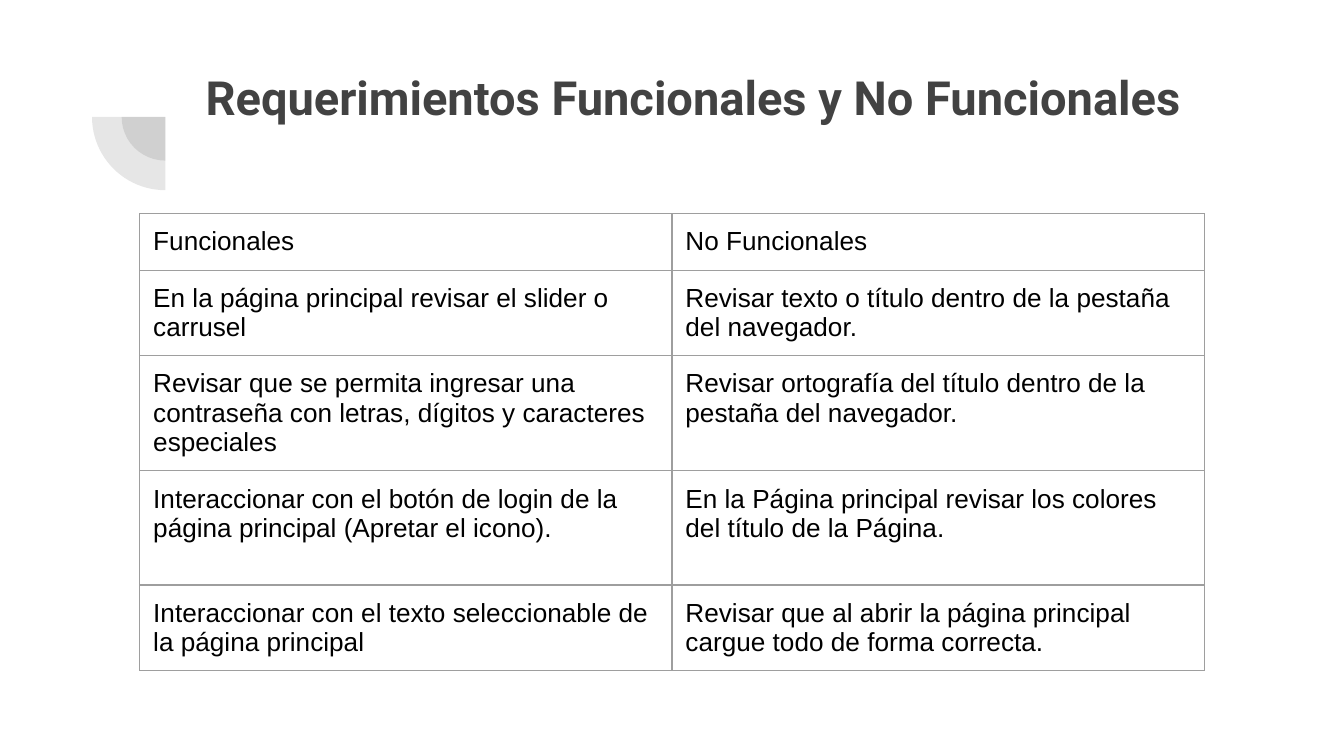
from lxml.etree import SubElement
from pptx import Presentation
from pptx.dml.color import RGBColor
from pptx.enum.shapes import MSO_SHAPE
from pptx.enum.text import MSO_ANCHOR, PP_ALIGN
from pptx.oxml.ns import qn
from pptx.util import Inches, Pt

# Content
TITLE = "Requerimientos Funcionales y No Funcionales"
ROWS = [  # height, functional, non-functional
    (0.42, "Funcionales", "No Funcionales"),
    (0.63, "En la página principal revisar el slider o carrusel",
     "Revisar texto o título dentro de la pestaña del navegador."),
    (0.85, "Revisar que se permita ingresar una contraseña con letras, dígitos y caracteres especiales",
     "Revisar ortografía del título dentro de la pestaña del navegador."),
    (0.85, "Interaccionar con el botón de login de la página principal (Apretar el icono).",
     "En la Página principal revisar los colores del título de la Página."),
    (0.63, "Interaccionar con el texto seleccionable de la página principal",
     "Revisar que al abrir la página principal cargue todo de forma correcta."),
]
COLORS = {"gray": "424242", "text": "000000", "border": "9E9E9E"}
TITLE_FONT = {"name": "Roboto", "size": Pt(25.2), "bold": True}
CELL_FONT = {"name": "Arial", "size": Pt(14), "bold": False}
INSETS = ("margin_left", "margin_top", "margin_right", "margin_bottom")
SLIDE_W = 10
COL_W = 3.96
PIE_CENTER = (1.23, 0.87)
PIE_SIZES = (0.65, 1.09)


def write(p, text, font, color):
    r = p.add_run()
    r.text = text
    for key, value in font.items():
        setattr(r.font, key, value)
    r.font.color.rgb = RGBColor.from_string(COLORS[color])


def set_insets(target):
    for side in INSETS:
        setattr(target, side, Inches(0.1))


def add_borders(cell):
    tcPr = cell._tc.get_or_add_tcPr()
    for i, side in enumerate(("a:lnL", "a:lnR", "a:lnT", "a:lnB")):
        ln = SubElement(tcPr, qn(side), w=str(Pt(0.75)))
        fill = SubElement(ln, qn("a:solidFill"))
        SubElement(fill, qn("a:srgbClr"), val=COLORS["border"])
        tcPr.insert(i, ln)


# Widescreen 16:9 slide
prs = Presentation()
prs.slide_width, prs.slide_height = Inches(SLIDE_W), Inches(SLIDE_W * 9 / 16)
s = prs.slides.add_slide(prs.slide_layouts[5])

# Concentric quarter circles
for size in PIE_SIZES:
    x, y = (c - size / 2 for c in PIE_CENTER)
    sp = s.shapes.add_shape(MSO_SHAPE.PIE, Inches(x), Inches(y), Inches(size), Inches(size))
    sp.adjustments[0], sp.adjustments[1] = 108, 162
    sp.rotation = 270
    sp.shadow.inherit = False
    sp.line.fill.background()
    sp.fill.solid()
    sp.fill.fore_color.rgb = RGBColor.from_string(COLORS["gray"])
    clr = sp._element.spPr.find(qn("a:solidFill")).find(qn("a:srgbClr"))
    SubElement(clr, qn("a:alpha"), val="13000")

# Title
title = s.shapes.title
title.left, title.top, title.width, title.height = map(Inches, (1.43, 0.41, 7.69, 1.09))
tf = title.text_frame
tf.word_wrap = True
tf.vertical_anchor = MSO_ANCHOR.TOP
set_insets(tf)
tf.paragraphs[0].alignment = PP_ALIGN.LEFT
write(tf.paragraphs[0], TITLE, TITLE_FONT, "gray")

# Requirements table
height = sum(row[0] for row in ROWS)
table = s.shapes.add_table(len(ROWS), 2, Inches(1.04), Inches(1.59),
                           Inches(2 * COL_W), Inches(height)).table
table.first_row = table.horz_banding = False
for col in table.columns:
    col.width = Inches(COL_W)
for row, (row_h, *texts) in zip(table.rows, ROWS):
    row.height = Inches(row_h)
    for cell, text in zip(row.cells, texts):
        set_insets(cell)
        cell.fill.background()
        add_borders(cell)
        write(cell.text_frame.paragraphs[0], text, CELL_FONT, "text")

prs.save("out.pptx")
